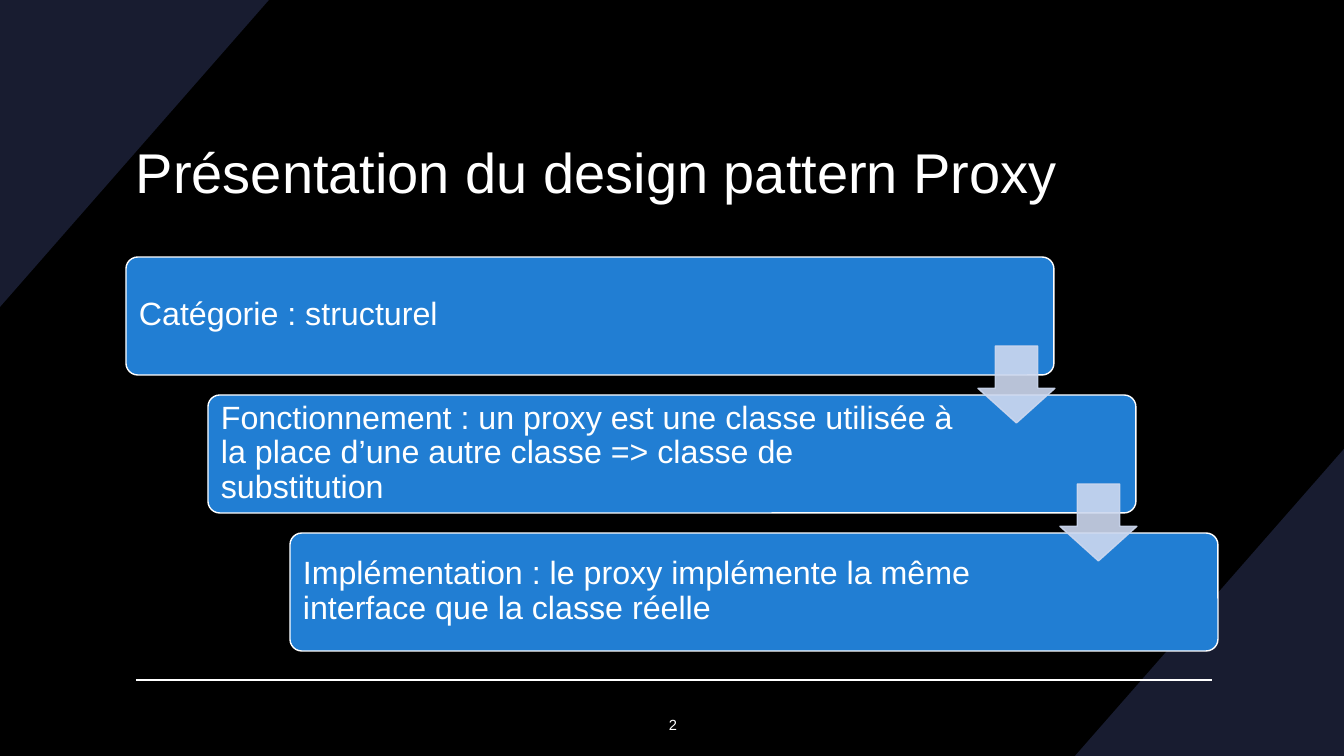
from lxml import etree
from pptx import Presentation
from pptx import util as u
from pptx.dml.color import RGBColor
from pptx.enum import shapes, text
from pptx.oxml.ns import qn

PX = 914400 / 100.8
HUES = {"back": "000000", "corner": "181C30", "box": "217ED3",
        "arrow": "CDD8EF", "ink": "FFFFFF"}
WIDE, HIGH = 1344, 756


def px(*nums):
    return [u.Emu(round(n * PX)) for n in nums]


def hue(name):
    return RGBColor.from_string(HUES[name])


class Board:
    """Holds the style and the current slide."""

    font = "Arial"

    def __init__(self, deck):
        self.slide = deck.slides.add_slide(deck.slide_layouts[6])
        self.items = self.slide.shapes
        fill = self.slide.background.fill
        fill.solid()
        fill.fore_color.rgb = hue("back")

    def paint(self, item, fill, line=None):
        item.shadow.inherit = False
        item.fill.solid()
        item.fill.fore_color.rgb = hue(fill)
        if line:
            item.line.color.rgb = hue(line)
            item.line.width = u.Pt(1)
        else:
            item.line.fill.background()

    def corner(self, *dots):
        form = self.items.build_freeform(*dots[0], scale=PX)
        form.add_line_segments(dots[1:], close=True)
        self.paint(form.convert_to_shape(), "corner")

    def rule(self, left, right, y):
        line = self.items.add_connector(
            shapes.MSO_CONNECTOR.STRAIGHT, *px(left, y, right, y))
        line.line.color.rgb = hue("ink")
        line.line.width = u.Pt(1)
        props = line._element.spPr
        etree.SubElement(props, qn("a:effectLst"))

    def label(self, words, area, size, align=text.PP_ALIGN.LEFT, space=1.0):
        frame = self.items.add_textbox(*px(*area)).text_frame
        frame.word_wrap = True
        frame.vertical_anchor = text.MSO_ANCHOR.MIDDLE
        frame.margin_left = frame.margin_right = u.Inches(0.1)
        frame.margin_top = frame.margin_bottom = u.Inches(0.05)
        frame.text = words
        para = frame.paragraphs[0]
        para.alignment = align
        para.line_spacing = space
        for run in para.runs:
            run.font.name = self.font
            run.font.size = u.Pt(size)
            run.font.color.rgb = hue("ink")

    def box(self, *area):
        item = self.items.add_shape(
            shapes.MSO_SHAPE.ROUNDED_RECTANGLE, *px(*area))
        item.adjustments[0] = 0.1
        self.paint(item, "box", "ink")

    def arrow(self, left, top, side):
        item = self.items.add_shape(
            shapes.MSO_SHAPE.DOWN_ARROW, *px(left, top, side, side))
        item.adjustments[0] = 0.55
        item.adjustments[1] = 0.45
        self.paint(item, "arrow", "arrow")
        # Fill and outline are both slightly see-through
        for shade in item._element.spPr.iter(qn("a:srgbClr")):
            etree.SubElement(shade, qn("a:alpha"), val="90000")


def main():
    deck = Presentation()
    deck.slide_width, deck.slide_height = px(WIDE, HIGH)
    board = Board(deck)

    # Dark corners and footer rule
    board.corner((WIDE, 449), (WIDE, HIGH), (1075, HIGH))
    board.corner((0, 307), (0, 0), (269, 0))
    board.rule(136, 1212, 680)

    # Title
    board.label("Présentation du design pattern Proxy",
                (126, 96, 1092, 150), 40)

    # Staircase of steps: text column width and wording
    steps = [
        (801, "Catégorie : structurel"),
        (763, "Fonctionnement : un proxy est une classe utilisée à la place "
              "d’une autre classe => classe de substitution"),
        (763, "Implémentation : le proxy implémente la même interface "
              "que la classe réelle"),
    ]
    across, down = 82, 138
    for i, (wide, words) in enumerate(steps):
        left, top = 126 + across * i, 257 + down * i
        board.box(left, top, 928, 118)
        board.label(words, (left + 3, top + 3, wide, 111), 23, space=0.9)

    # Arrows from each step to the next
    for i in range(len(steps) - 1):
        board.arrow(978 + across * i, 346 + down * i, 77)

    # Page number
    board.label("2", (127, 709, 1092, 32), 10.5, text.PP_ALIGN.CENTER)

    deck.save("out.pptx")


if __name__ == "__main__":
    main()
